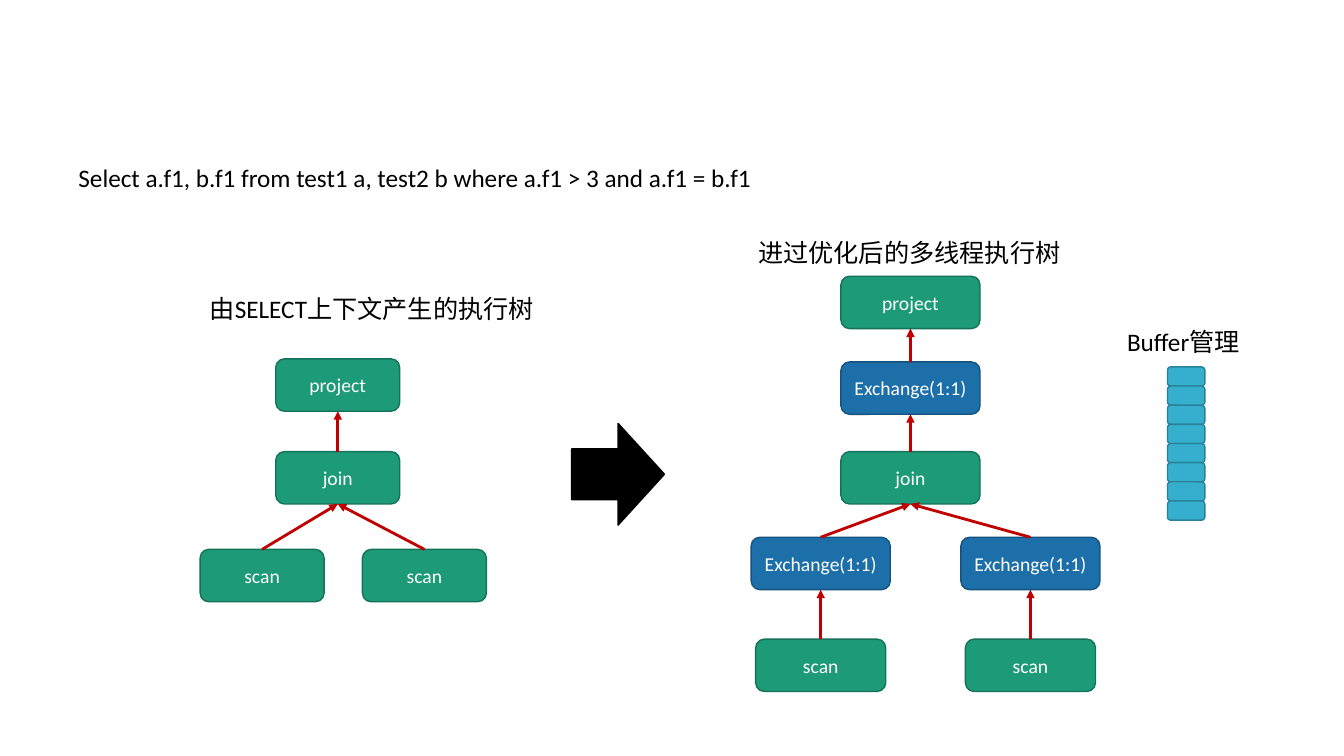
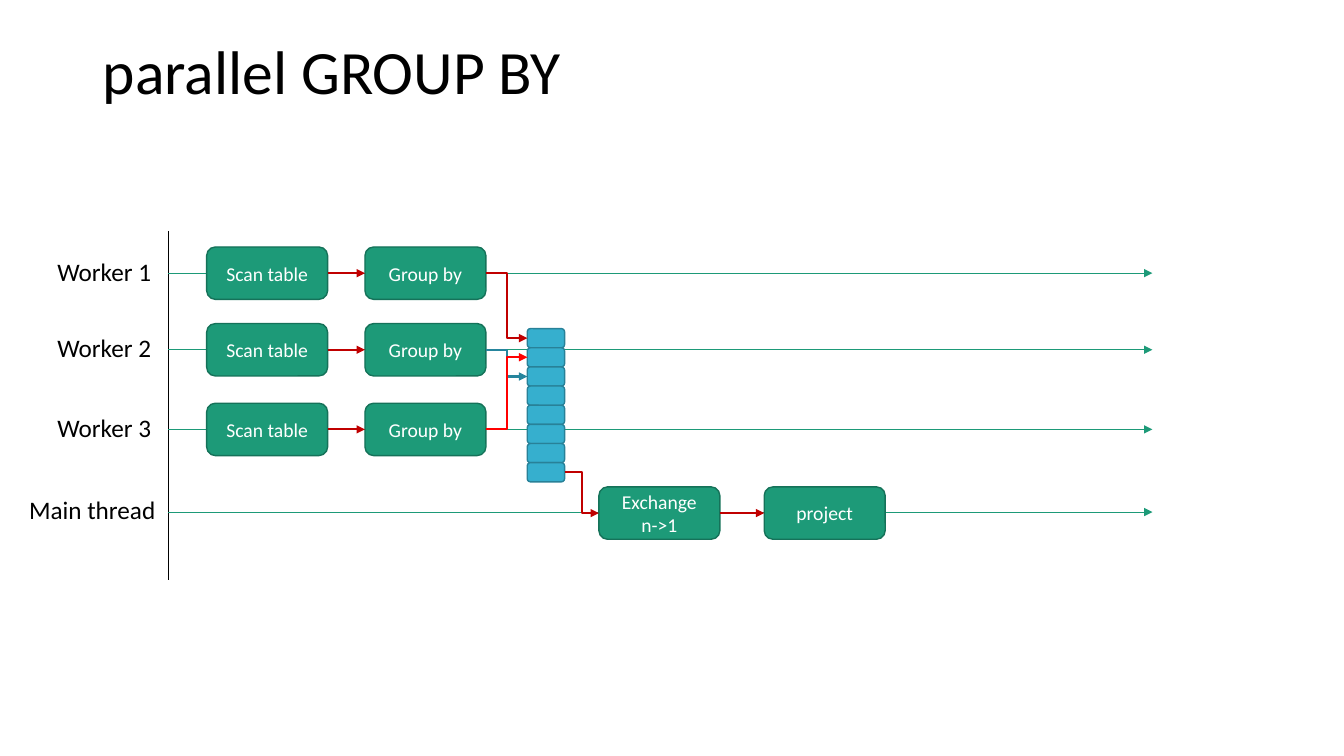
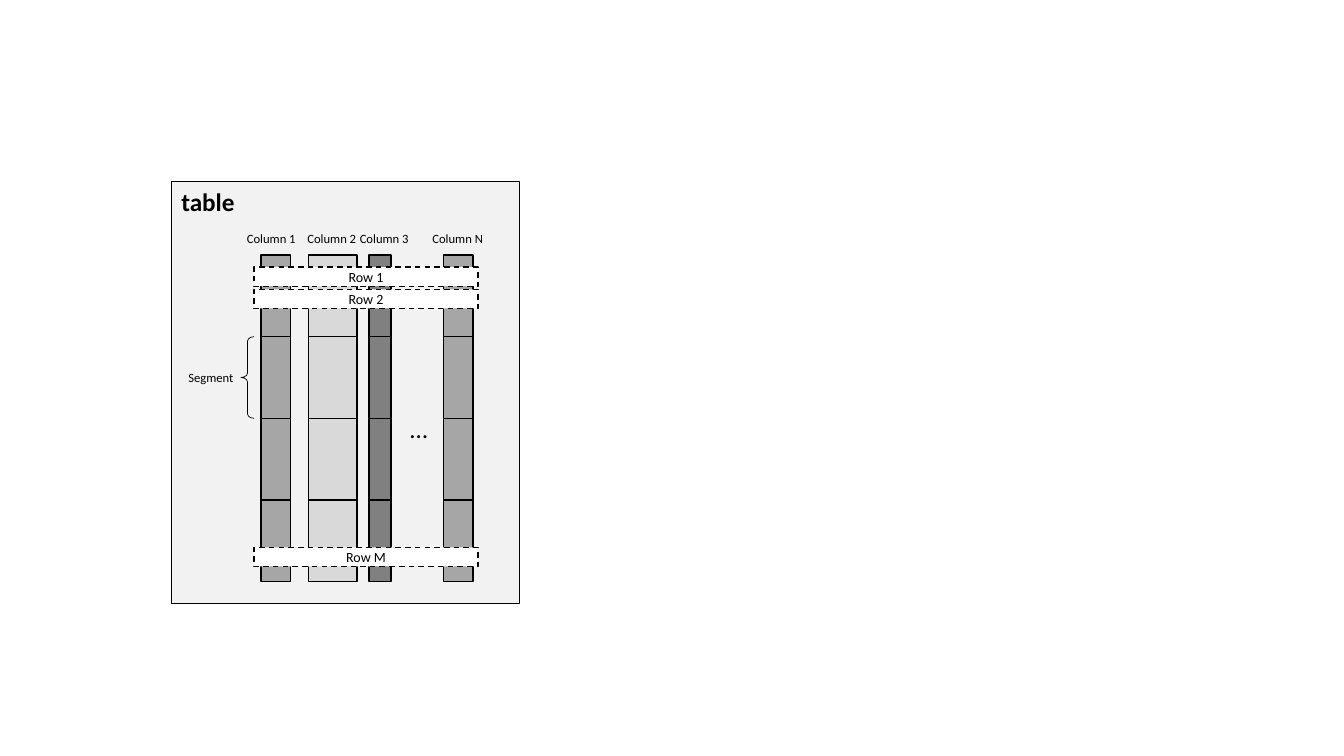
from lxml import etree
from pptx import Presentation
from pptx.dml.color import RGBColor
from pptx.enum.dml import MSO_LINE
from pptx.enum.shapes import MSO_CONNECTOR, MSO_SHAPE
from pptx.enum.text import MSO_ANCHOR, PP_ALIGN
from pptx.oxml.ns import qn
from pptx.util import Inches, Pt

STRAIGHT, ELBOW = MSO_CONNECTOR.STRAIGHT, MSO_CONNECTOR.ELBOW
RECT, ROUNDED = MSO_SHAPE.RECTANGLE, MSO_SHAPE.ROUNDED_RECTANGLE
RIGHT_ARROW, LEFT_BRACE = MSO_SHAPE.RIGHT_ARROW, MSO_SHAPE.LEFT_BRACE
TOP, MIDDLE = MSO_ANCHOR.TOP, MSO_ANCHOR.MIDDLE
LEFT, CENTER = PP_ALIGN.LEFT, PP_ALIGN.CENTER
DASH = MSO_LINE.DASH
SIDE_TOP, SIDE_LEFT, SIDE_BOTTOM, SIDE_RIGHT = range(4)

BLACK = RGBColor(0x00, 0x00, 0x00)
WHITE = RGBColor(0xFF, 0xFF, 0xFF)
GREEN = RGBColor(0x1D, 0x9A, 0x78)
GREEN_EDGE = RGBColor(0x15, 0x72, 0x59)
BLUE = RGBColor(0x1D, 0x6F, 0xA9)
BLUE_EDGE = RGBColor(0x15, 0x52, 0x7D)
CYAN = RGBColor(0x36, 0xAF, 0xCE)
CYAN_EDGE = RGBColor(0x28, 0x81, 0x98)
TEAL = RGBColor(0x26, 0x85, 0x9D)
DARK_RED = RGBColor(0xC0, 0x00, 0x00)
RED = RGBColor(0xFF, 0x00, 0x00)
PANEL = RGBColor(0xF2, 0xF2, 0xF2)
LIGHT_GREY = RGBColor(0xD9, 0xD9, 0xD9)
MID_GREY = RGBColor(0xA6, 0xA6, 0xA6)
DARK_GREY = RGBColor(0x80, 0x80, 0x80)

FONT = "Calibri"
NODE_H = 0.52
CELL_W, CELL_H, CELLS = 0.37, 0.19, 8
LABEL_H = 0.4


def write(frame, text, size, color=BLACK, align=LEFT, anchor=TOP, bold=False):
    frame.text = text
    frame.vertical_anchor = anchor
    for paragraph in frame.paragraphs:
        paragraph.alignment = align
        font = paragraph.font
        font.name, font.size, font.bold = FONT, Pt(size), bold
        font.color.rgb = color


def add_label(slide, text, left, top, width, height=LABEL_H, size=18, wrap=False):
    label = slide.shapes.add_textbox(*map(Inches, (left, top, width, height)))
    label.text_frame.word_wrap = wrap
    write(label.text_frame, text, size)


def add_block(shapes, kind, left, top, width, height, fill, edge=BLACK, weight=1):
    """Add a preset shape; a fill of None leaves it open."""
    block = shapes.add_shape(kind, *map(Inches, (left, top, width, height)))
    block.shadow.inherit = False
    if fill is None:
        block.fill.background()
    else:
        block.fill.solid()
        block.fill.fore_color.rgb = fill
    block.line.color.rgb = edge
    block.line.width = Pt(weight)
    return block


def add_node(slide, text, center_x, center_y, width, fill=GREEN, edge=GREEN_EDGE):
    node = add_block(slide.shapes, ROUNDED, center_x - width / 2,
                     center_y - NODE_H / 2, width, NODE_H, fill, edge)
    write(node.text_frame, text, 14, WHITE, CENTER, MIDDLE)
    return node


def add_exchange(slide, center_x, center_y, width):
    return add_node(slide, "Exchange(1:1)", center_x, center_y, width, BLUE, BLUE_EDGE)


def add_buffer(slide, left, top):
    """Add a grouped stack of buffer cells and return the cells."""
    stack = slide.shapes.add_group_shape()
    return [add_block(stack.shapes, ROUNDED, left, top + row * CELL_H,
                      CELL_W, CELL_H, CYAN, CYAN_EDGE) for row in range(CELLS)]


def add_line(slide, start, end, color, weight, kind=STRAIGHT, arrow=True):
    line = slide.shapes.add_connector(kind, *map(Inches, (*start, *end)))
    line.line.color.rgb = color
    line.line.width = Pt(weight)
    if arrow:
        etree.SubElement(line.line._get_or_add_ln(), qn("a:tailEnd"), type="triangle")
    etree.SubElement(line._element.spPr, qn("a:effectLst"))
    return line


def join(slide, source, source_side, target, target_side,
         color=DARK_RED, weight=1.5, kind=STRAIGHT):
    """Draw an arrow glued to the sides of two shapes."""
    line = add_line(slide, (0, 0), (0, 0), color, weight, kind)
    line.begin_connect(source, source_side)
    line.end_connect(target, target_side)


def feed_up(slide, *chain):
    """Join each node to the next one, which stands above it."""
    for child, parent in zip(chain, chain[1:]):
        join(slide, child, SIDE_TOP, parent, SIDE_BOTTOM, weight=2)


def feed_right(slide, source, target, color=DARK_RED, kind=STRAIGHT):
    join(slide, source, SIDE_RIGHT, target, SIDE_LEFT, color, kind=kind)


def build_execution_trees(slide):
    add_label(slide, "Select a.f1, b.f1 from test1 a, test2 b where a.f1 > 3 and a.f1 = b.f1",
              0.68, 1.56, 7.07)
    add_label(slide, "由SELECT上下文产生的执行树", 1.98, 2.86, 3.45, wrap=True)
    add_label(slide, "进过优化后的多线程执行树", 7.42, 2.31, 3.23)
    join_y = 4.74

    axis, width = 3.35, 1.23
    project = add_node(slide, "project", axis, 3.82, width)
    join_node = add_node(slide, "join", axis, join_y, width)
    feed_up(slide, join_node, project)
    for scan_x in (2.6, 4.21):
        feed_up(slide, add_node(slide, "scan", scan_x, 5.71, width), join_node)

    add_block(slide.shapes, RIGHT_ARROW, 5.67, 4.2, 0.92, 1.01, BLACK)

    axis, width = 9.03, 1.38
    project = add_node(slide, "project", axis, 3, width)
    exchange = add_exchange(slide, axis, 3.85, width)
    join_node = add_node(slide, "join", axis, join_y, width)
    feed_up(slide, join_node, exchange, project)
    for branch_x in (8.14, 10.22):
        scan = add_node(slide, "scan", branch_x, 6.6, 1.29)
        feed_up(slide, scan, add_exchange(slide, branch_x, 5.59, width), join_node)

    add_buffer(slide, 11.58, 3.64)
    add_label(slide, "Buffer管理", 11.08, 3.19, 1.33, wrap=True)


def build_parallel_group_by(slide):
    title = slide.shapes.title
    title.left, title.top, title.width, title.height = map(Inches, (0.92, 0.29, 11.5, 0.9))
    write(title.text_frame, "parallel GROUP BY", 44, anchor=MIDDLE)
    title.text_frame.paragraphs[0].line_spacing = 0.9

    axis_x, lane_end, node_w = 1.67, 11.43, 1.2
    worker_lanes, main_lane = (2.71, 3.47, 4.26), 5.08
    add_line(slide, (axis_x, 2.29), (axis_x, 5.75), BLACK, 0.5, arrow=False)
    for lane in (*worker_lanes, main_lane):
        add_line(slide, (axis_x, lane), (lane_end, lane), GREEN, 0.5)

    cells = add_buffer(slide, 5.23, 3.26)
    # Each worker writes to its own cell.
    targets = ((cells[0], DARK_RED), (cells[2], TEAL), (cells[1], RED))
    for number, (lane, (cell, color)) in enumerate(zip(worker_lanes, targets), 1):
        add_label(slide, f"Worker {number}", 0.47, lane - 0.22, 1.14)
        scan = add_node(slide, "Scan table", 2.65, lane, node_w)
        group_by = add_node(slide, "Group by", 4.22, lane, node_w)
        feed_right(slide, scan, group_by)
        feed_right(slide, group_by, cell, color, ELBOW)

    add_label(slide, "Main thread", 0.19, main_lane - 0.22, 1.47)
    exchange = add_node(slide, "Exchange\nn->1", 6.54, main_lane + 0.01, node_w)
    project = add_node(slide, "project", 8.18, main_lane + 0.01, node_w)
    feed_right(slide, cells[-1], exchange, kind=ELBOW)
    feed_right(slide, exchange, project)


def build_table_storage(slide):
    panel = add_block(slide.shapes, RECT, 1.7, 1.8, 3.45, 4.19, PANEL)
    write(panel.text_frame, "table", 18, bold=True)

    top, segment_h, segments = 2.53, 0.81, 4
    columns = (
        ("Column 1", 2.35, 2.59, 0.29, MID_GREY),
        ("Column 2", 2.95, 3.06, 0.48, LIGHT_GREY),
        ("Column 3", 3.47, 3.66, 0.22, DARK_GREY),
        ("Column N", 4.19, 4.4, 0.29, MID_GREY),
    )
    for name, name_left, left, width, fill in columns:
        add_label(slide, name, name_left, 2.24, 0.7, 0.25, size=9)
        column = slide.shapes.add_group_shape()
        for segment in range(segments):
            add_block(column.shapes, RECT, left, top + segment * segment_h,
                      width, segment_h, fill)

    for name, row_top in (("Row 1", 2.65), ("Row 2", 2.87), ("Row M", 5.43)):
        row = add_block(slide.shapes, RECT, 2.52, row_top, 2.22, 0.19, WHITE)
        row.line.dash_style = DASH
        write(row.text_frame, name, 10, align=CENTER, anchor=MIDDLE)

    brace = add_block(slide.shapes, LEFT_BRACE, 2.39, top + segment_h,
                      0.13, segment_h, None, weight=0.5)
    brace.adjustments[0] = 0.34
    add_label(slide, "Segment", 1.77, 3.62, 0.66, 0.25, size=9)
    add_label(slide, "…", 3.97, 4.05, 0.38)


def main():
    deck = Presentation()
    deck.slide_width, deck.slide_height = Inches(13.33), Inches(7.5)
    title_only, blank = deck.slide_layouts[5], deck.slide_layouts[6]
    for build, layout in ((build_execution_trees, blank),
                          (build_parallel_group_by, title_only),
                          (build_table_storage, blank)):
        build(deck.slides.add_slide(layout))
    deck.save("out.pptx")


if __name__ == "__main__":
    main()
